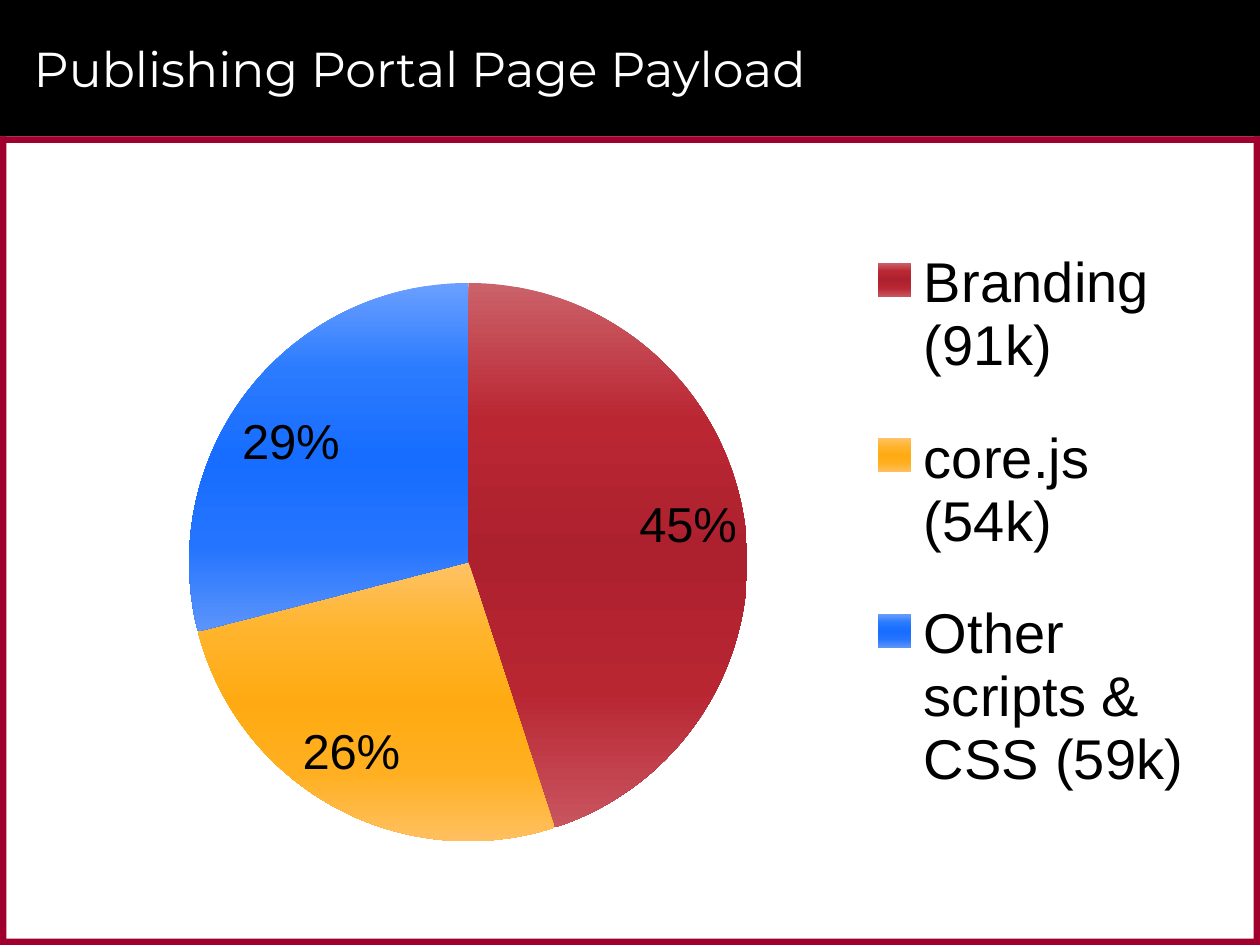
import lxml.etree
import pptx
import pptx.chart.data
import pptx.dml.color
import pptx.enum.chart
import pptx.enum.shapes
import pptx.enum.text
import pptx.oxml
import pptx.oxml.ns
import pptx.util
from pptx.util import Cm

WIDTH, HEIGHT = Cm(25.4), Cm(19.05)
HEADER_HEIGHT = Cm(2.75)
BORDER = Cm(0.13)
SLICES = [
    # category, share, colours of the gradient from top to bottom, label shift
    ("Branding (91k)", 45, ["CB626A", "BA2733", "AD212E", "B82632", "C9555F"], (0, -0.03)),
    ("core.js (54k)", 26, ["FFC266", "FFB42B", "FFAA12", "FFAF20", "FFC060"], (-0.03, -0.03)),
    ("Other scripts & CSS (59k)", 29,
     ["6A9FFF", "2B7BFF", "176DFF", "2474FF", "5C94FA"], (-0.01, 0.03)),
]


def color(hex_string):
    return pptx.dml.color.RGBColor.from_string(hex_string)


def style_font(font, name, size, hex_string):
    font.name = name
    font.size = pptx.util.Pt(size)
    font.color.rgb = color(hex_string)


def add_bar(slide, left, top, width, height, hex_string):
    bar = slide.shapes.add_shape(
        pptx.enum.shapes.MSO_SHAPE.RECTANGLE, left, top, width, height)
    bar.shadow.inherit = False
    bar.fill.solid()
    bar.fill.fore_color.rgb = color(hex_string)
    bar.line.fill.background()


def add_frame(slide, left, top, width, height):
    right, bottom = left + width - BORDER, top + height - BORDER
    for box in [(left, top, width, BORDER), (left, bottom, width, BORDER),
                (left, top, BORDER, height), (right, top, BORDER, height)]:
        add_bar(slide, *box, "9F002D")


def add_header(slide, left, top, width, height):
    add_bar(slide, left, top, width, height, "000000")
    title = slide.shapes.add_textbox(
        left + Cm(0.43), top + Cm(0.2), width - Cm(1.47), height - Cm(0.4))
    frame = title.text_frame
    frame.word_wrap = True
    frame.vertical_anchor = pptx.enum.text.MSO_ANCHOR.MIDDLE
    frame.text = "Publishing Portal Page Payload"
    style_font(frame.paragraphs[0].runs[0].font, "Montserrat", 28, "FFFFFF")


def fill_gradient(fill, stops):
    """Fill from top to bottom with evenly spaced colour stops."""
    fill.gradient()
    fill.gradient_angle = 270
    stop_list = fill.gradient_stops[0]._gs.getparent()
    for stop in list(stop_list):
        stop_list.remove(stop)
    for index, hex_string in enumerate(stops):
        stop = lxml.etree.SubElement(stop_list, pptx.oxml.ns.qn("a:gs"))
        stop.set("pos", str(100000 * index // (len(stops) - 1)))
        lxml.etree.SubElement(stop, pptx.oxml.ns.qn("a:srgbClr")).set("val", hex_string)


def make_layout(**settings):
    """Manual layout whose lengths are fractions of the chart area."""
    values = "".join(f'<c:{tag} val="{value}"/>' for tag, value in settings.items())
    return pptx.oxml.parse_xml(
        f'<c:layout {pptx.oxml.ns.nsdecls("c")}>'
        f'<c:manualLayout>{values}</c:manualLayout></c:layout>')


def remove_layout(element):
    layout = element.find(pptx.oxml.ns.qn("c:layout"))
    if layout is not None:
        element.remove(layout)


def add_percent_label(point, shift):
    """Show the slice's percentage, shifted from the inner end of the slice."""
    label = point.data_label
    label.position = pptx.enum.chart.XL_LABEL_POSITION.INSIDE_END
    style_font(label.font, "Arial", 28, "000000")
    element = label._dLbl
    element.find(pptx.oxml.ns.qn("c:showVal")).set("val", "0")
    element.find(pptx.oxml.ns.qn("c:showPercent")).set("val", "1")
    layout = make_layout(x=shift[0], y=shift[1])
    element.find(pptx.oxml.ns.qn("c:idx")).addnext(layout)
    layout.addnext(pptx.oxml.parse_xml(
        f'<c:numFmt {pptx.oxml.ns.nsdecls("c")} formatCode="0%" sourceLinked="0"/>'))


def add_payload_chart(slide, left, top, width, height):
    data = pptx.chart.data.CategoryChartData()
    data.categories = [category for category, *_ in SLICES]
    data.add_series("Series 1", [share for _, share, *_ in SLICES])
    chart = slide.shapes.add_chart(
        pptx.enum.chart.XL_CHART_TYPE.PIE, left, top, width, height, data).chart
    style_font(chart.font, "Arial", 18, "000000")
    chart.has_title = False

    chart.has_legend = True
    legend = chart.legend
    legend.position = pptx.enum.chart.XL_LEGEND_POSITION.RIGHT
    legend.include_in_layout = False
    style_font(legend.font, "Arial", 32, "000000")
    remove_layout(legend._element)
    legend._element.find(pptx.oxml.ns.qn("c:legendPos")).addnext(
        make_layout(xMode="edge", yMode="edge", x=0.7, y=0.05, w=0.29, h=0.95))

    plot = chart.plots[0]
    plot.vary_by_categories = True
    plot_area = plot._element.getparent()
    remove_layout(plot_area)
    plot_area.insert(0, make_layout(
        layoutTarget="inner", xMode="edge", yMode="edge", x=0, y=0.17, w=0.72, h=0.83))

    series = plot.series[0]
    labels = series.data_labels
    labels.show_value = False
    labels.show_percentage = True
    labels.number_format = "0%"
    labels.number_format_is_linked = False
    labels.position = pptx.enum.chart.XL_LABEL_POSITION.INSIDE_END
    style_font(labels.font, "Arial", 28, "000000")
    for index, (_, _, stops, shift) in enumerate(SLICES):
        point = series.points[index]
        fill_gradient(point.format.fill, stops)
        point.format.line.fill.background()
        add_percent_label(point, shift)


def main():
    presentation = pptx.Presentation()
    presentation.slide_width, presentation.slide_height = WIDTH, HEIGHT
    slide = presentation.slides.add_slide(presentation.slide_layouts[6])
    add_header(slide, 0, 0, WIDTH, HEADER_HEIGHT)
    add_frame(slide, 0, HEADER_HEIGHT, WIDTH, HEIGHT - HEADER_HEIGHT)
    add_payload_chart(slide, Cm(1.02), Cm(3.4), Cm(23.39), Cm(13.56))
    presentation.save("out.pptx")


if __name__ == "__main__":
    main()
